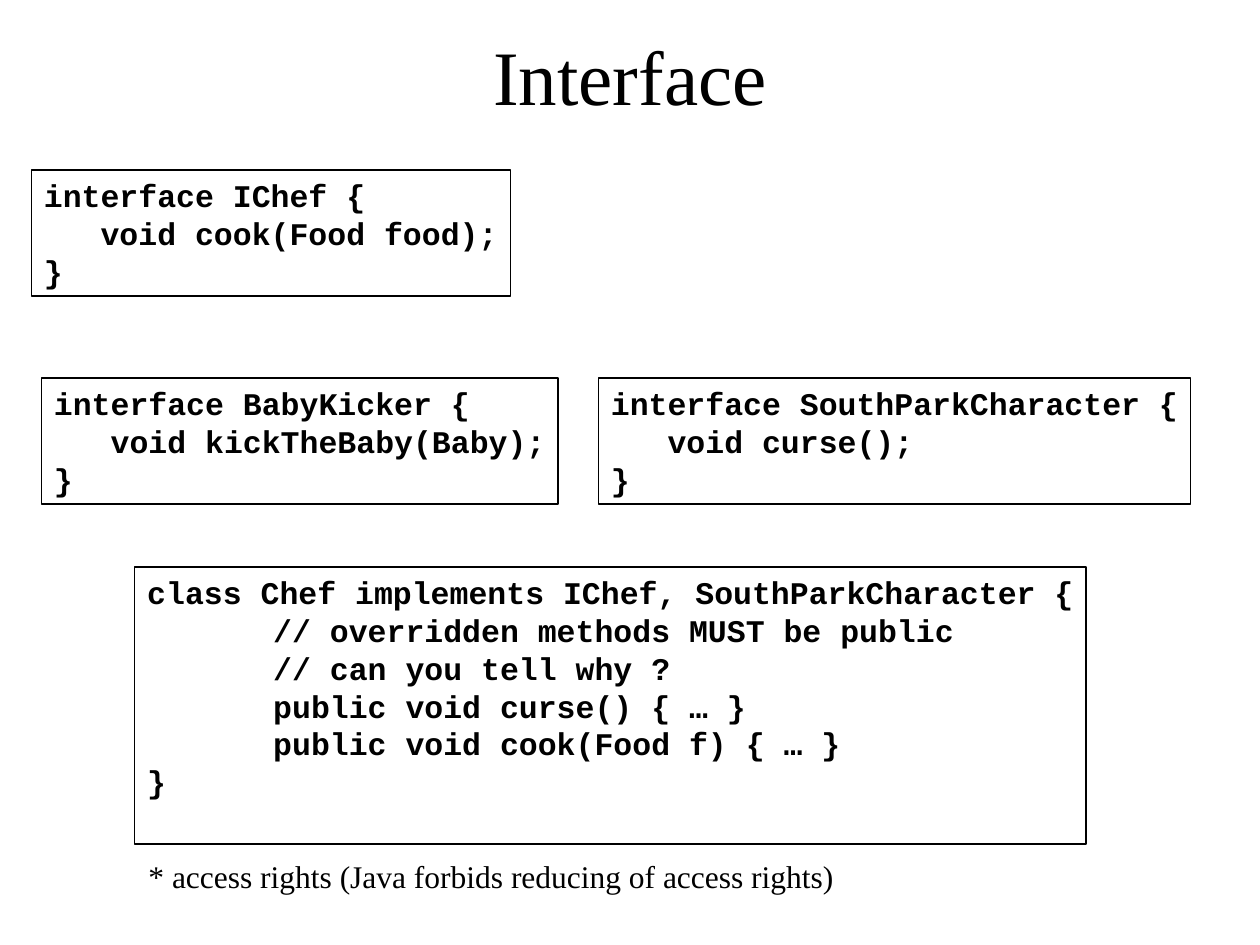
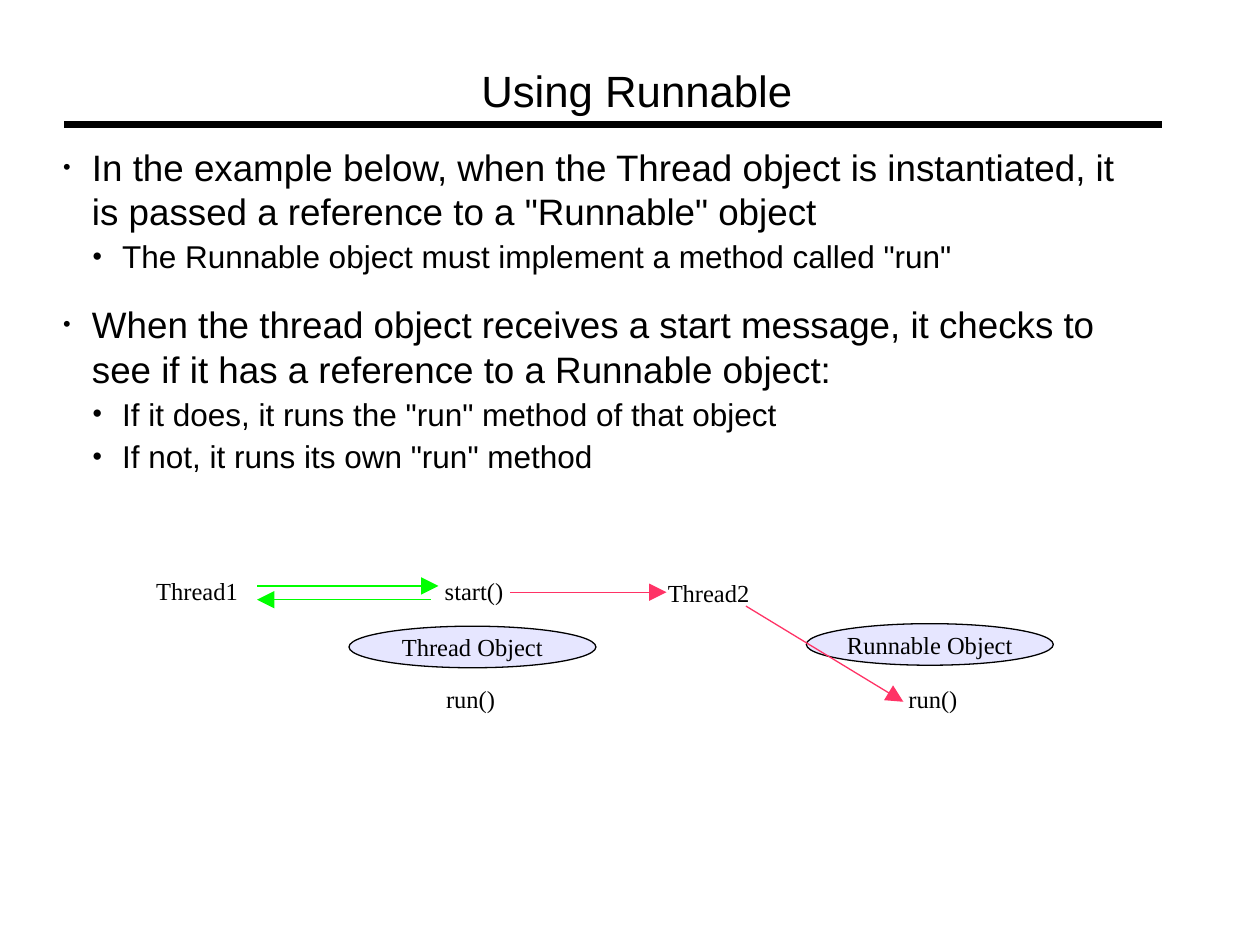
from lxml.etree import SubElement
from pptx import Presentation
from pptx.dml.color import RGBColor
from pptx.enum.shapes import MSO_CONNECTOR, MSO_SHAPE
from pptx.enum.text import MSO_ANCHOR as Anchor
from pptx.enum.text import MSO_AUTO_SIZE as AutoSize
from pptx.enum.text import PP_ALIGN as Align
from pptx.oxml.ns import qn
from pptx.util import Inches, Pt

COLORS = {"ink": "000000", "object": "E6E6FF", "call": "00FF00", "run": "FF3366"}
SERIF, SANS, MONO = "Times New Roman", "Arial", "Courier New"
TITLE_ONLY, TITLE_AND_BODY = 5, 1

# Indent, text size, bullet size in percent for each list level
LEVELS = [(0.23, 21, 59), (0.47, 18, 85)]
HANGING = 0.235


def color(name):
    return RGBColor.from_string(COLORS[name])


def place(shape, left, top, width, height):
    shape.left, shape.top = Inches(left), Inches(top)
    shape.width, shape.height = Inches(width), Inches(height)


def prepare_frame(shape, inset=(0, 0), anchor=Anchor.TOP, wrap=True):
    frame = shape.text_frame
    frame.auto_size = AutoSize.NONE
    frame.word_wrap = wrap
    frame.vertical_anchor = anchor
    frame.margin_left = frame.margin_right = Inches(inset[0])
    frame.margin_top = frame.margin_bottom = Inches(inset[1])
    return frame


def write(para, text, font=SERIF, size=14, bold=False, align=Align.LEFT, before=0):
    para.alignment = align
    para.space_before = Pt(before)
    span = para.add_run()
    span.text = text
    span.font.name, span.font.size, span.font.bold = font, Pt(size), bold
    span.font.color.rgb = color("ink")


def next_para(frame, index):
    return frame.paragraphs[0] if index == 0 else frame.add_paragraph()


def set_indent(para, left, first=0):
    properties = para._p.get_or_add_pPr()
    properties.set("marL", str(Inches(left)))
    properties.set("indent", str(Inches(first)))
    return properties


def add_title(page, text, at, anchor=Anchor.TOP, **style):
    place(page.shapes.title, *at)
    frame = prepare_frame(page.shapes.title, anchor=anchor)
    write(frame.paragraphs[0], text, **style)


def add_label(page, text, at, inset=(0, 0), **style):
    box = page.shapes.add_textbox(*map(Inches, at))
    write(prepare_frame(box, inset).paragraphs[0], text, **style)


def add_code(page, at, lines):
    """Outlined listing; a leading tab in a line becomes a one-inch indent."""
    box = page.shapes.add_textbox(*map(Inches, at))
    box.line.color.rgb = color("ink")
    box.line.width = Pt(0.75)
    frame = prepare_frame(box, inset=(0.1, 0.05), wrap=False)
    for index, line in enumerate(lines):
        para = next_para(frame, index)
        if line.startswith("\t"):
            set_indent(para, 1)
        write(para, line.lstrip("\t"), font=MONO, size=18, bold=True)


def add_bullets(page, at, items):
    """Items are (level, text, space before)."""
    body = page.placeholders[1]
    place(body, *at)
    frame = prepare_frame(body)
    for index, (level, text, before) in enumerate(items):
        indent, size, percent = LEVELS[level]
        para = next_para(frame, index)
        para.level = level
        write(para, text, font=SANS, size=size, before=before)
        properties = set_indent(para, indent, -HANGING)
        bullet_color = SubElement(properties, qn("a:buClr"))
        SubElement(bullet_color, qn("a:srgbClr"), val=COLORS["ink"])
        SubElement(properties, qn("a:buSzPct"), val=str(percent * 1000))
        SubElement(properties, qn("a:buFont"), typeface=SANS)
        SubElement(properties, qn("a:buChar"), char="•")


def add_line(page, start, end, name, width=0.75, arrow=True):
    line = page.shapes.add_connector(
        MSO_CONNECTOR.STRAIGHT, *map(Inches, (*start, *end)))
    line.line.color.rgb = color(name)
    line.line.width = Pt(width)
    if arrow:
        SubElement(line.line._get_or_add_ln(), qn("a:tailEnd"),
                   type="triangle", w="lg", len="lg")
    SubElement(line._element.spPr, qn("a:effectLst"))


def add_object(page, text, left, top):
    oval = page.shapes.add_shape(
        MSO_SHAPE.OVAL, *map(Inches, (left, top, 1.96, 0.33)))
    oval.shadow.inherit = False
    oval.fill.solid()
    oval.fill.fore_color.rgb = color("object")
    oval.line.color.rgb = color("ink")
    oval.line.width = Pt(0.75)
    frame = prepare_frame(oval, anchor=Anchor.MIDDLE, wrap=False)
    write(frame.paragraphs[0], text, align=Align.CENTER)


def build_interface(deck):
    page = deck.slides.add_slide(deck.slide_layouts[TITLE_ONLY])
    add_title(page, "Interface", (0.75, 0.3, 8.5, 0.58), anchor=Anchor.MIDDLE,
              size=44, align=Align.CENTER)

    # Interfaces and the class that implements them
    add_code(page, (4.75, 3, 4.7, 1),
             ["interface SouthParkCharacter {", "   void curse();", "}"])
    add_code(page, (0.25, 1.35, 3.8, 1),
             ["interface IChef {", "   void cook(Food food);", "}"])
    add_code(page, (0.33, 3, 4.1, 1),
             ["interface BabyKicker {", "   void kickTheBaby(Baby);", "}"])
    add_code(page, (1.07, 4.5, 7.55, 2.2), [
        "class Chef implements IChef, SouthParkCharacter {",
        "\t// overridden methods MUST be public",
        "\t// can you tell why ?",
        "\tpublic void curse() { … }",
        "\tpublic void cook(Food f) { … }",
        "}",
    ])
    add_label(page, "* access rights (Java forbids reducing of access rights)",
              (1.08, 6.75, 7.33, 0.4), inset=(0.1, 0.05), size=18)


def build_runnable(deck):
    page = deck.slides.add_slide(deck.slide_layouts[TITLE_AND_BODY])
    add_line(page, (0.51, 0.99), (9.22, 0.99), "ink", width=4.31, arrow=False)
    add_title(page, "Using Runnable", (3.82, 0.51, 4.23, 0.42), font=SANS, size=25)
    add_bullets(page, (0.5, 1.15, 8.6, 2.62), [
        (0, "In the example below, when the Thread object is instantiated, "
            "it is passed a reference to a \"Runnable\" object", 0),
        (1, "The Runnable object must implement a method called \"run\"", 2.5),
        (0, "When the thread object receives a start message, it checks to "
            "see if it has a reference to a Runnable object:", 15.4),
        (1, "If it does, it runs the \"run\" method of that object", 2.5),
        (1, "If not, it runs its own \"run\" method", 2.5),
    ])

    # Call diagram
    add_object(page, "Thread Object", 2.77, 4.97)
    add_object(page, "Runnable Object", 6.4, 4.95)
    for text, left, top in [
        ("Thread1", 1.24, 4.57), ("start()", 3.53, 4.57), ("Thread2", 5.3, 4.59),
        ("run()", 3.54, 5.43), ("run()", 7.21, 5.43),
    ]:
        add_label(page, text, (left, top, 0.76, 0.23))
    for start, end, name in [
        ((2.04, 4.65), (3.48, 4.65), "call"),
        ((3.42, 4.76), (2.04, 4.76), "call"),
        ((4.05, 4.7), (5.29, 4.7), "run"),
        ((5.92, 4.81), (7.17, 5.57), "run"),
    ]:
        add_line(page, start, end, name)


def main():
    deck = Presentation()
    deck.slide_width, deck.slide_height = Inches(10), Inches(7.5)
    build_interface(deck)
    build_runnable(deck)
    deck.save("out.pptx")


if __name__ == "__main__":
    main()
